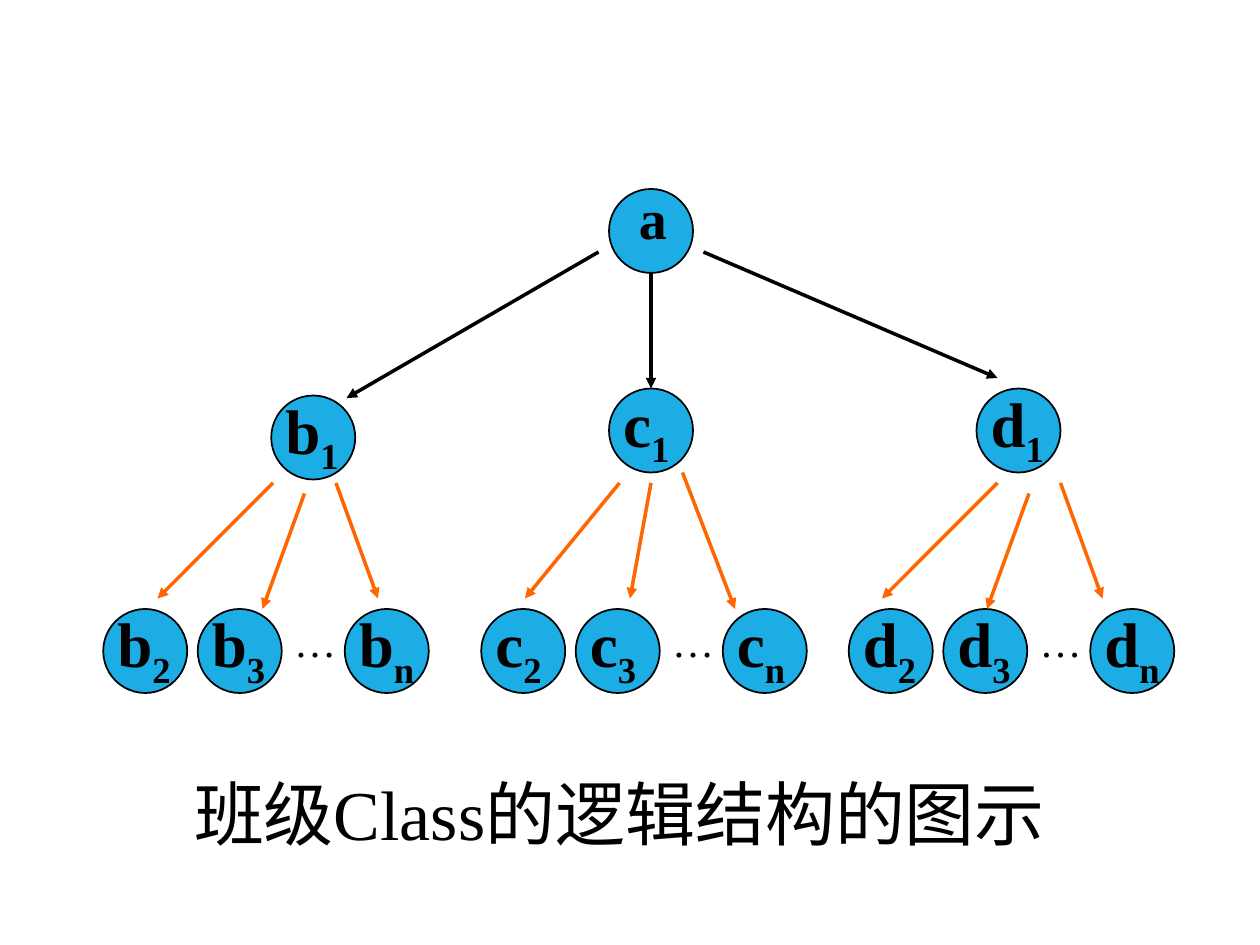
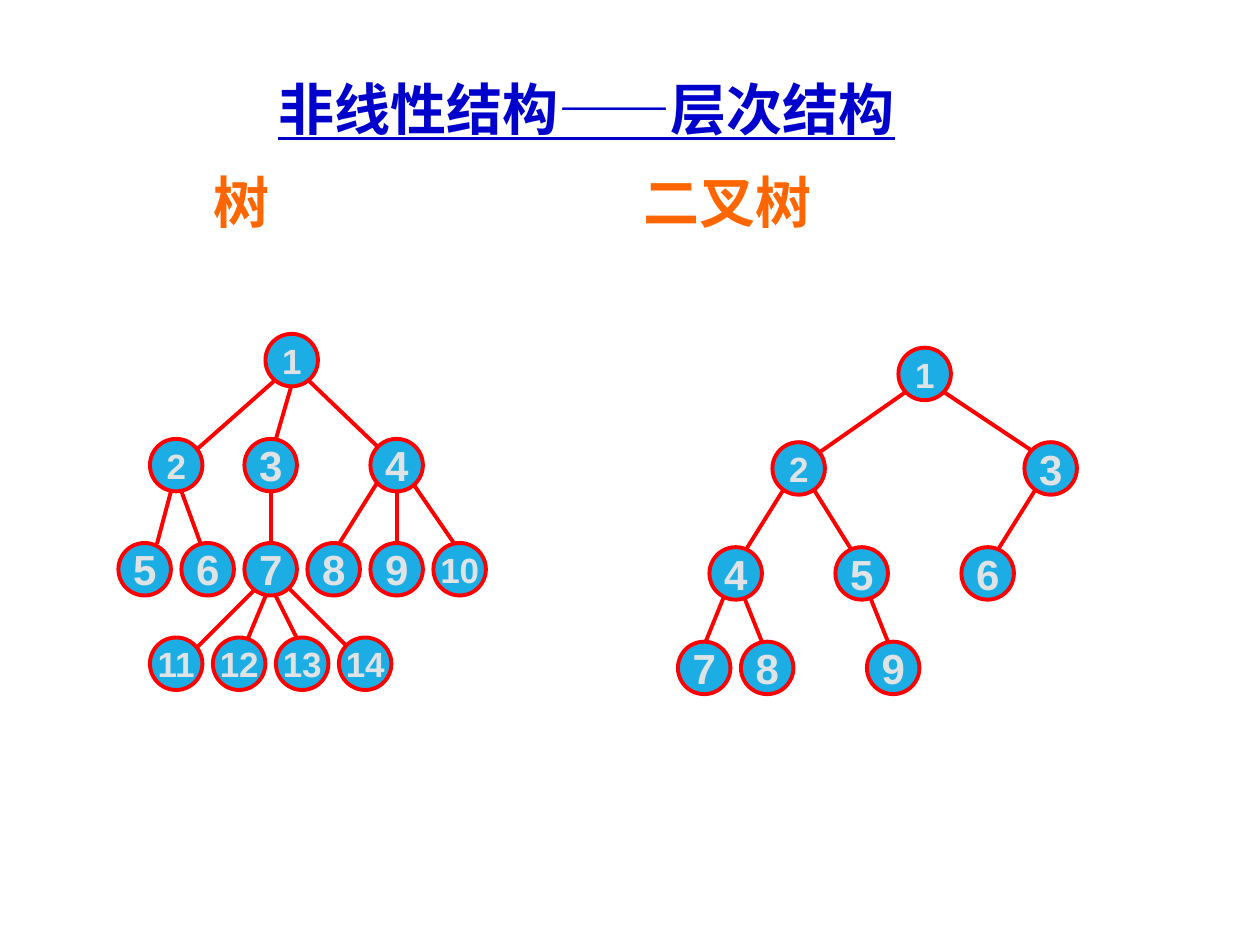
import pptx
import pptx.dml.color
import pptx.enum.shapes
import pptx.enum.text
import pptx.oxml
import pptx.oxml.ns
import pptx.util

Pt = pptx.util.Pt
ALIGN = pptx.enum.text.PP_ALIGN
ANCHOR = pptx.enum.text.MSO_ANCHOR

BLACK, RED, ORANGE = "000000", "FF0000", "FF6600"
NODE_FILL, TITLE_BLUE, NUMBER_GREY = "1CADE4", "0000CC", "DFE3E5"
SERIF, SANS, CHINESE = "Times New Roman", "Arial", "Noto Sans CJK SC"

CLASS_NODE = 48
LEAF_LEFTS = (0, 54, 138)
LEAF_TOP = 126

# Each branch: left edge, parent position, arrows down to the leaves.
BRANCHES = {
    "b": (59, (96, 4), [(97, 54, 31, 120), (115, 60, 91, 126), (133, 54, 157, 120)]),
    "c": (275, (73, 0), [(79, 54, 25, 120), (97, 54, 85, 120), (115, 48, 145, 126)]),
    "d": (485, (73, 0), [(85, 54, 19, 120), (103, 60, 79, 126), (121, 54, 145, 120)]),
}
ROOT_ARROWS = [(342, 144, 198, 227.5), (372, 156, 372, 222), (402, 144, 570, 216)]

NUMBER_NODE = 30
GENERAL_NODES = {
    1: (84, 0),
    2: (18, 60), 3: (72, 60), 4: (144, 60),
    **{5 + i: (36 * i, 119.5) for i in range(6)},
    **{11 + i: (18 + 36 * i, 173.5) for i in range(4)},
}
GENERAL_EDGES = [
    (90, 26, 38, 72), (99, 29, 90, 60), (108, 26, 156, 72),
    (30, 90, 22, 120), (36, 90, 47, 120), (87, 90, 87, 120),
    (156, 72, 126, 120), (159, 90, 159, 120), (159, 72, 192, 120),
    (86, 138, 38, 186), (84, 150, 74, 174), (90, 150, 102, 174), (90, 138, 138, 186),
]
BINARY_NODES = {
    1: (126, 0),
    2: (54, 54), 3: (198, 54),
    4: (18, 114), 5: (90, 114), 6: (162, 114),
    7: (0, 168), 8: (36, 168), 9: (108, 168),
}
BINARY_EDGES = [
    (132, 24, 72, 66), (150, 24, 204, 60),
    (66, 72, 36, 120), (72, 72, 102, 120), (210, 72, 180, 120),
    (28, 138, 11, 180), (36, 138, 48, 168), (108, 138, 120, 168),
]


def colour(value):
    return pptx.dml.color.RGBColor.from_string(value)


def add_text(slide, text, left, top, width, height, *, size, font=SERIF, color=BLACK,
             bold=False, underline=False, subscript="", align=ALIGN.LEFT,
             anchor=ANCHOR.TOP, wrap=True, insets=(7.2, 3.6), tab=None):
    """Add a text box; insets are (sides, top and bottom), tab is a tab stop."""
    box = slide.shapes.add_textbox(Pt(left), Pt(top), Pt(width), Pt(height))
    frame = box.text_frame
    frame.word_wrap = wrap
    frame.vertical_anchor = anchor
    frame.margin_left = frame.margin_right = Pt(insets[0])
    frame.margin_top = frame.margin_bottom = Pt(insets[1])
    paragraph = frame.paragraphs[0]
    paragraph.alignment = align
    if tab:
        tabs = pptx.oxml.parse_xml(
            f'<a:tabLst {pptx.oxml.ns.nsdecls("a")}><a:tab pos="{Pt(tab)}" algn="l"/></a:tabLst>')
        paragraph._p.get_or_add_pPr().append(tabs)
    for part in filter(None, (text, subscript)):
        run = paragraph.add_run()
        run.text = part
        run.font.size = Pt(size)
        run.font.name = font
        run.font.bold = bold
        run.font.underline = underline
        run.font.color.rgb = colour(color)
        properties = run._r.get_or_add_rPr()
        properties.append(pptx.oxml.parse_xml(
            f'<a:ea {pptx.oxml.ns.nsdecls("a")} typeface="{CHINESE}"/>'))
    if subscript:
        properties.set("baseline", "-25000")
    return box


def add_circle(slide, left, top, diameter, line_color, line_width):
    circle = slide.shapes.add_shape(pptx.enum.shapes.MSO_SHAPE.OVAL, Pt(left), Pt(top),
                                    Pt(diameter), Pt(diameter))
    circle.shadow.inherit = False
    circle.fill.solid()
    circle.fill.fore_color.rgb = colour(NODE_FILL)
    circle.line.color.rgb = colour(line_color)
    circle.line.width = Pt(line_width)


def add_line(slide, ends, color, width, left=0, top=0, arrow=False):
    x1, y1, x2, y2 = ends
    line = slide.shapes.add_connector(pptx.enum.shapes.MSO_CONNECTOR.STRAIGHT,
                                      Pt(left + x1), Pt(top + y1), Pt(left + x2), Pt(top + y2))
    line.line.color.rgb = colour(color)
    line.line.width = Pt(width)
    namespace = pptx.oxml.ns.nsdecls("a")
    if arrow:
        line.line._get_or_add_ln().append(
            pptx.oxml.parse_xml(f'<a:tailEnd {namespace} type="triangle"/>'))
    line._element.spPr.append(pptx.oxml.parse_xml(f"<a:effectLst {namespace}/>"))


def add_class_node(slide, letter, index, left, top):
    add_circle(slide, left, top, CLASS_NODE, BLACK, 1)
    add_text(slide, letter, left + 1, top - 6, CLASS_NODE, 50, size=36, bold=True,
             subscript=index, wrap=False)


def add_branch(slide, letter, left, top, parent, arrows):
    add_class_node(slide, letter, "1", left + parent[0], top + parent[1])
    for index, leaf_left in zip("23n", LEAF_LEFTS):
        add_class_node(slide, letter, index, left + leaf_left, top + LEAF_TOP)
    add_text(slide, "…", left + 102, top + LEAF_TOP, 42, 36, size=24)
    for arrow in arrows:
        add_line(slide, arrow, ORANGE, 2, left, top, arrow=True)


def add_number_tree(slide, left, top, nodes, edges):
    for edge in edges:
        add_line(slide, edge, RED, 2.25, left, top)
    for number, (x, y) in nodes.items():
        add_circle(slide, left + x, top + y, NUMBER_NODE, RED, 2.25)
        size = 20 if number < 3 or number > 9 else 24
        width = 37 if number > 9 else size + 5
        height = 31 if size == 20 else 36
        add_text(slide, str(number), left + x + (NUMBER_NODE - width) / 2,
                 top + y + (NUMBER_NODE - height) / 2, width, height, size=size, font=SANS,
                 color=NUMBER_GREY, bold=True, align=ALIGN.CENTER, wrap=False)


def build_class_slide(slide):
    add_circle(slide, 348, 108, CLASS_NODE, BLACK, 1)
    add_text(slide, "a", 358, 101.5, 30, 45, size=32, bold=True, wrap=False)
    for letter, (left, parent, arrows) in BRANCHES.items():
        add_branch(slide, letter, left, 222, parent, arrows)
    for arrow in ROOT_ARROWS:
        add_line(slide, arrow, BLACK, 2, arrow=True)
    add_text(slide, "班级Class的逻辑结构的图示", 30, 437, 648, 55.5, size=40,
             align=ALIGN.CENTER)


def build_hierarchy_slide(slide):
    add_text(slide, "非线性结构——层次结构", 150.5, 37.5, 448, 48, size=32, color=TITLE_BLUE,
             bold=True, underline=True, anchor=ANCHOR.MIDDLE, insets=(8.64, 4.32))
    add_text(slide, "树\t二叉树", 91.5, 91.5, 609, 47.5, size=32, font=CHINESE, color=ORANGE,
             bold=True, insets=(30.5, 4.32), tab=245.5)
    add_number_tree(slide, 67.7, 190.8, GENERAL_NODES, GENERAL_EDGES)
    add_number_tree(slide, 387.4, 198.7, BINARY_NODES, BINARY_EDGES)


def main():
    presentation = pptx.Presentation()
    presentation.slide_width, presentation.slide_height = Pt(720), Pt(540)
    blank = presentation.slide_layouts[6]
    for build in (build_class_slide, build_hierarchy_slide):
        build(presentation.slides.add_slide(blank))
    presentation.save("out.pptx")


if __name__ == "__main__":
    main()
